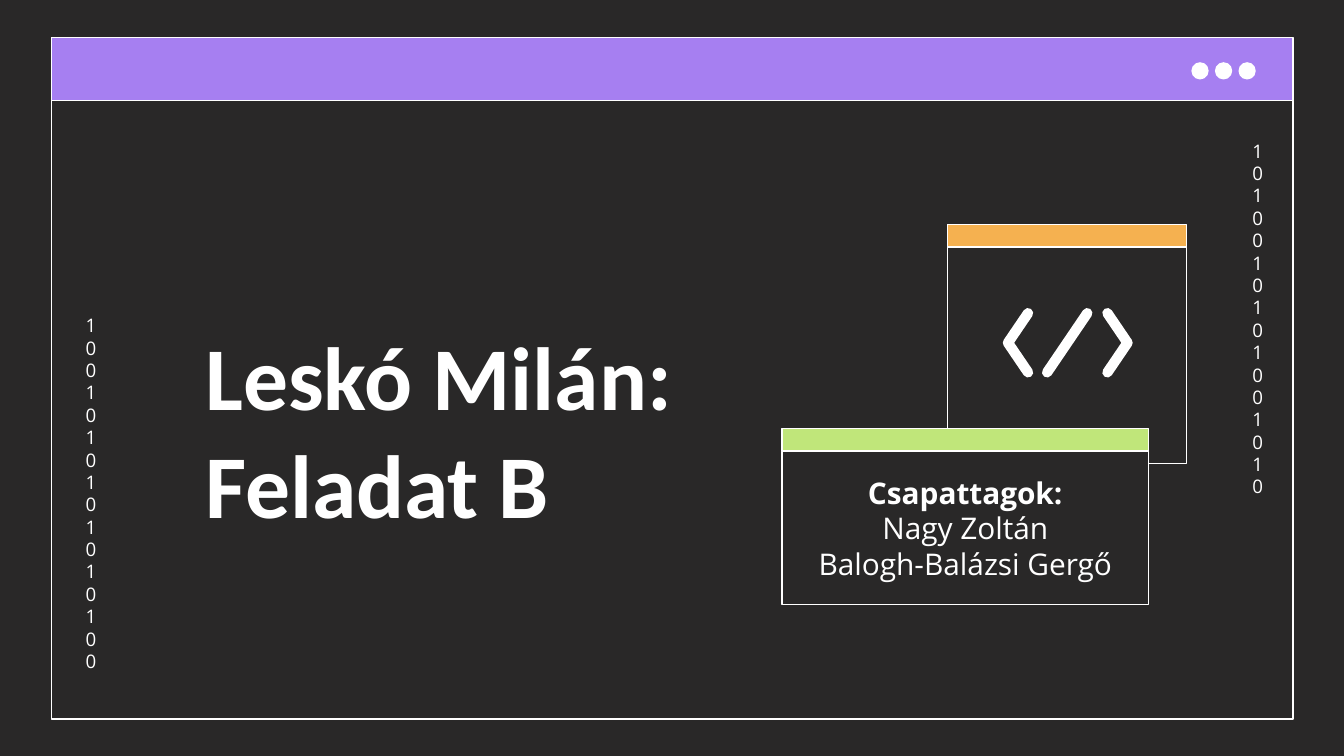
from dataclasses import dataclass

from lxml.etree import SubElement
from pptx import Presentation
from pptx.dml.color import RGBColor
from pptx.enum.shapes import MSO_SHAPE as SHAPE
from pptx.enum.text import MSO_ANCHOR as ANCHOR, MSO_AUTO_SIZE as AUTO_SIZE, PP_ALIGN as ALIGN
from pptx.oxml.ns import qn
from pptx.util import Cm, Pt

DARK, WHITE = "292828", "FFFFFF"
PURPLE, ORANGE, GREEN = "A67FF1", "F5B150", "C0E67A"
INSET = Cm(0.25)
LEADING = 1.2


@dataclass
class Window:
    left: float
    top: float
    width: float
    height: float
    bar: float
    color: str
    fill: str | None = None


@dataclass
class Digits:
    left: float
    top: float
    text: str


FRAME = Window(0.97, 0.71, 23.47, 12.88, 1.19, PURPLE)
CODE = Window(17.91, 4.24, 4.52, 4.52, 0.43, ORANGE)
MEMBERS = Window(14.78, 8.1, 6.93, 3.33, 0.43, GREEN, DARK)
DIGITS = [Digits(23.42, 2.39, "1010010101001010"), Digits(1.37, 5.69, "1001010101010100")]
# Code symbol: left chevron, slash, right chevron
STROKES = [
    [(19.43, 5.92), (19.05, 6.48), (19.43, 7.04)],
    [(20.55, 5.92), (19.79, 7.04)],
    [(20.93, 5.92), (21.31, 6.48), (20.93, 7.04)],
]


def rgb(color: str) -> RGBColor:
    return RGBColor.from_string(color)


def add_box(shapes, kind, left: float, top: float, width: float, height: float,
            fill: str | None = None):
    sp = shapes.add_shape(kind, Cm(left), Cm(top), Cm(width), Cm(height))
    sp.shadow.inherit = False
    if fill:
        sp.fill.solid()
        sp.fill.fore_color.rgb = rgb(fill)
    else:
        sp.fill.background()
    sp.line.color.rgb = rgb(WHITE)
    sp.line.width = Pt(0.75)
    return sp


def add_window(shapes, win: Window):
    body = add_box(shapes, SHAPE.RECTANGLE, win.left, win.top + win.bar,
                   win.width, win.height - win.bar, win.fill)
    add_box(shapes, SHAPE.RECTANGLE, win.left, win.top, win.width, win.bar, win.color)
    return body


def set_text(sp, text: str, font: str, size: float, align, anchor) -> list:
    """Fill one paragraph and return its runs, one per line."""
    tf = sp.text_frame
    tf.word_wrap = True
    tf.auto_size = AUTO_SIZE.NONE
    tf.vertical_anchor = anchor
    tf.margin_left = tf.margin_right = tf.margin_top = tf.margin_bottom = INSET
    p = tf.paragraphs[0]
    p.text = text
    p.alignment = align
    p.line_spacing = Pt(size * LEADING)
    for r in p.runs:
        r.font.name = font
        r.font.size = Pt(size)
        r.font.color.rgb = rgb(WHITE)
    return list(p.runs)


def add_stroke(shapes, points: list[tuple[float, float]]) -> None:
    start, *rest = [(Cm(x), Cm(y)) for x, y in points]
    builder = shapes.build_freeform(*start)
    builder.add_line_segments(rest, close=False)
    sp = builder.convert_to_shape()
    sp.shadow.inherit = False
    sp.fill.background()
    sp.line.color.rgb = rgb(WHITE)
    sp.line.width = Pt(5.5)
    ln = sp.line._get_or_add_ln()
    ln.set("cap", "rnd")
    SubElement(ln, qn("a:round"))


def main() -> None:
    prs = Presentation()
    prs.slide_width, prs.slide_height = Cm(25.4), Cm(14.29)
    slide = prs.slides.add_slide(prs.slide_layouts[5])
    shapes = slide.shapes
    slide.background.fill.solid()
    slide.background.fill.fore_color.rgb = rgb(DARK)

    # Outer window with three dots
    add_window(shapes, FRAME)
    for i in range(3):
        add_box(shapes, SHAPE.OVAL, 22.53 + i * 0.445, 1.19, 0.3, 0.3, WHITE)

    # Binary columns: the narrow box wraps after every digit
    for col in DIGITS:
        box = shapes.add_textbox(Cm(col.left), Cm(col.top), Cm(0.61), Cm(7.11))
        set_text(box, col.text, "Open Sans", 10, ALIGN.CENTER, ANCHOR.TOP)

    # Title
    title = shapes.title
    title.left, title.top, title.width, title.height = Cm(3.63), Cm(3.81), Cm(10.92), Cm(8.59)
    for r in set_text(title, "Leskó Milán:\vFeladat B", "Calibri", 48, ALIGN.LEFT, ANCHOR.MIDDLE):
        r.font.bold = True

    # Code window
    add_window(shapes, CODE)
    for points in STROKES:
        add_stroke(shapes, points)

    # Team members
    body = add_window(shapes, MEMBERS)
    heading, *_ = set_text(body, "Csapattagok:\vNagy Zoltán\vBalogh-Balázsi Gergő",
                           "Open Sans", 16, ALIGN.CENTER, ANCHOR.MIDDLE)
    heading.font.bold = True

    prs.save("out.pptx")


if __name__ == "__main__":
    main()
